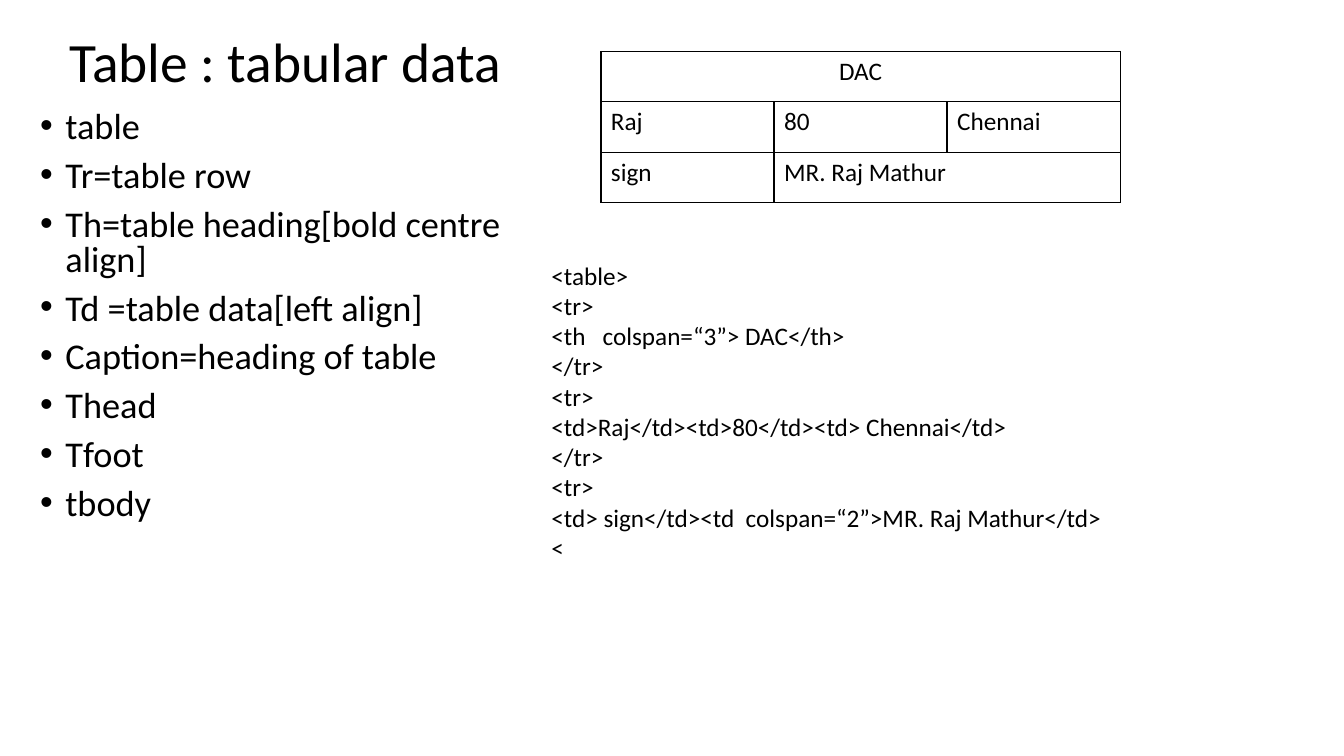
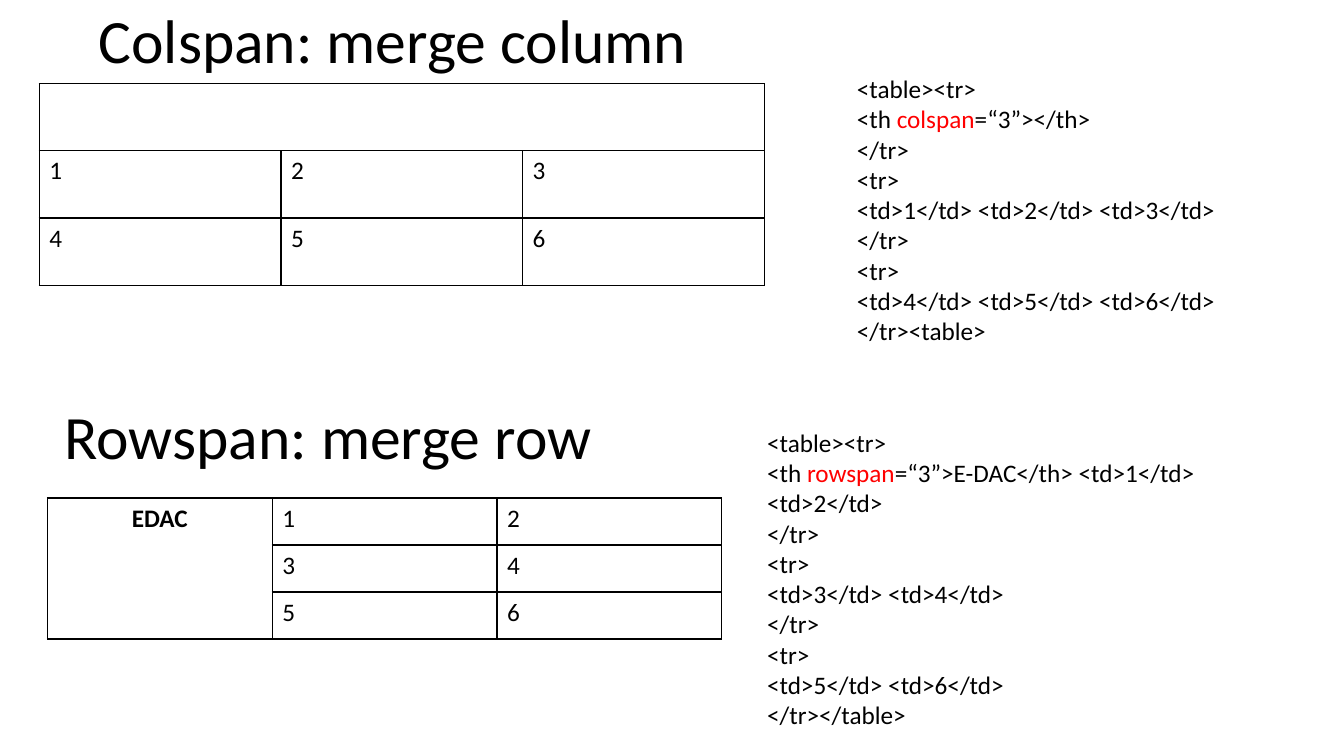
"""Builds two slides on HTML tables, with merged columns and rows."""
from lxml import etree
from pptx import Presentation
from pptx.dml.color import RGBColor as RGB
from pptx.enum.text import MSO_ANCHOR as ANCHOR, PP_ALIGN as ALIGN
from pptx.oxml import parse_xml
from pptx.oxml.ns import nsdecls, qn
from pptx.util import Inches, Pt

COLORS = {"text": "000000", "border": "000000", "accent": "FF0000"}
FONT = "Calibri"

TAGS = ["table", "Tr=table row", "Th=table heading[bold centre align]",
        "Td =table data[left align]", "Caption=heading of table",
        "Thead", "Tfoot", "tbody"]
DAC_ROWS = [["DAC", "", ""], ["Raj", "80", "Chennai"],
            ["sign", "MR. Raj Mathur", ""]]
DAC_CODE = """<table>
<tr>
<th   colspan=“3”> DAC</th>
</tr>
<tr>
<td>Raj</td><td>80</td><td> Chennai</td>
</tr>
<tr>
<td> sign</td><td  colspan=“2”>MR. Raj Mathur</td>
<"""
COLSPAN_ROWS = [["", "", ""], ["1", "2", "3"], ["4", "5", "6"]]
COLSPAN_CODE = """<table><tr>
<th colspan=“3”></th>
</tr>
<tr>
<td>1</td> <td>2</td> <td>3</td>
</tr>
<tr>
<td>4</td> <td>5</td> <td>6</td>
</tr><table>"""
ROWSPAN_ROWS = [["EDAC", "1", "2"], ["", "3", "4"], ["", "5", "6"]]
ROWSPAN_CODE = """<table><tr>
<th rowspan=“3”>E-DAC</th> <td>1</td> <td>2</td>
</tr>
<tr>
<td>3</td> <td>4</td>
</tr>
<tr>
<td>5</td> <td>6</td>
</tr></table>"""


def set_attrs(obj, **values):
    for name, value in values.items():
        setattr(obj, name, value)


def add_run(p, text, size=18, color="text", bold=False):
    r = p.add_run()
    r.text = text
    set_attrs(r.font, name=FONT, size=Pt(size), bold=bold)
    r.font.color.rgb = RGB.from_string(COLORS[color])


def add_box(s, box, anchor=ANCHOR.TOP):
    tf = s.shapes.add_textbox(*map(Inches, box)).text_frame
    set_attrs(tf, word_wrap=True, vertical_anchor=anchor)
    return tf


def add_paragraphs(tf, count):
    return [tf.paragraphs[0]] + [tf.add_paragraph() for _ in range(count - 1)]


def add_title(s, box, text, size=44):
    p = add_box(s, box, ANCHOR.MIDDLE).paragraphs[0]
    p.line_spacing = 0.9
    add_run(p, text, size)


def add_bullets(s, box, items, size):
    tf = add_box(s, box)
    for i, (p, item) in enumerate(zip(add_paragraphs(tf, len(items)), items)):
        pPr = p._p.get_or_add_pPr()
        pPr.set("marL", str(Inches(0.25)))
        pPr.set("indent", str(Inches(-0.25)))
        etree.SubElement(pPr, qn("a:buFont")).set("typeface", "Arial")
        etree.SubElement(pPr, qn("a:buChar")).set("char", "•")
        set_attrs(p, line_spacing=0.8, space_before=Pt(10 if i else 0))
        add_run(p, item, size)


def add_code(s, box, code, keyword=None):
    lines = code.splitlines()
    for p, line in zip(add_paragraphs(add_box(s, box), len(lines)), lines):
        if keyword and keyword in line:
            before, word, after = line.partition(keyword)
            add_run(p, before)
            add_run(p, word, color="accent")
            add_run(p, after)
        else:
            add_run(p, line)


def add_borders(cell):
    tcPr = cell._tc.get_or_add_tcPr()
    for i, side in enumerate("LRTB"):
        tcPr.insert(i, parse_xml(
            f'<a:ln{side} {nsdecls("a")} w="{Pt(1)}"><a:solidFill>'
            f'<a:srgbClr val="{COLORS["border"]}"/></a:solidFill></a:ln{side}>'))


def add_grid(s, box, rows, merge, bold_head=False):
    frame = s.shapes.add_table(len(rows), len(rows[0]), *map(Inches, box))
    table = frame.table
    set_attrs(table, first_row=False, horz_banding=False)
    for i, row in enumerate(rows):
        for j, text in enumerate(row):
            cell = table.cell(i, j)
            cell.fill.background()
            add_borders(cell)
            if text:
                p = cell.text_frame.paragraphs[0]
                head = (i, j) == (0, 0)
                p.alignment = ALIGN.CENTER if head else ALIGN.LEFT
                add_run(p, text, bold=head and bold_head)
    for start, end in merge:
        table.cell(*start).merge(table.cell(*end))


def add_tabular_slide(prs):
    s = prs.slides.add_slide(prs.slide_layouts[6])
    add_title(s, (0.59, 0.3, 11.17, 0.68), "Table : tabular data", 39.6)
    add_bullets(s, (0.3, 1.06, 4.81, 4.31), TAGS, 25.9)
    add_grid(s, (5.96, 0.51, 5.15, 1.5), DAC_ROWS,
             [((0, 0), (0, 2)), ((2, 1), (2, 2))])
    add_code(s, (5.37, 2.53, 6.56, 3.43), DAC_CODE)


def add_span_slide(prs):
    s = prs.slides.add_slide(prs.slide_layouts[6])
    add_title(s, (0.88, 0.04, 8.78, 0.78), "Colspan: merge column")
    add_grid(s, (0.39, 0.83, 7.19, 2), COLSPAN_ROWS, [((0, 0), (0, 2))])
    add_code(s, (8.4, 0.68, 3.83, 2.83), COLSPAN_CODE, "colspan")
    add_title(s, (0.54, 3.94, 6.54, 0.84), "Rowspan: merge row")
    add_grid(s, (0.47, 4.94, 6.69, 1.4), ROWSPAN_ROWS,
             [((0, 0), (2, 0))], bold_head=True)
    add_code(s, (7.51, 4.19, 4.84, 3.74), ROWSPAN_CODE, "rowspan")


def main():
    prs = Presentation()
    set_attrs(prs, slide_width=Inches(13.33), slide_height=Inches(7.5))
    add_tabular_slide(prs)
    add_span_slide(prs)
    prs.save("out.pptx")


if __name__ == "__main__":
    main()
